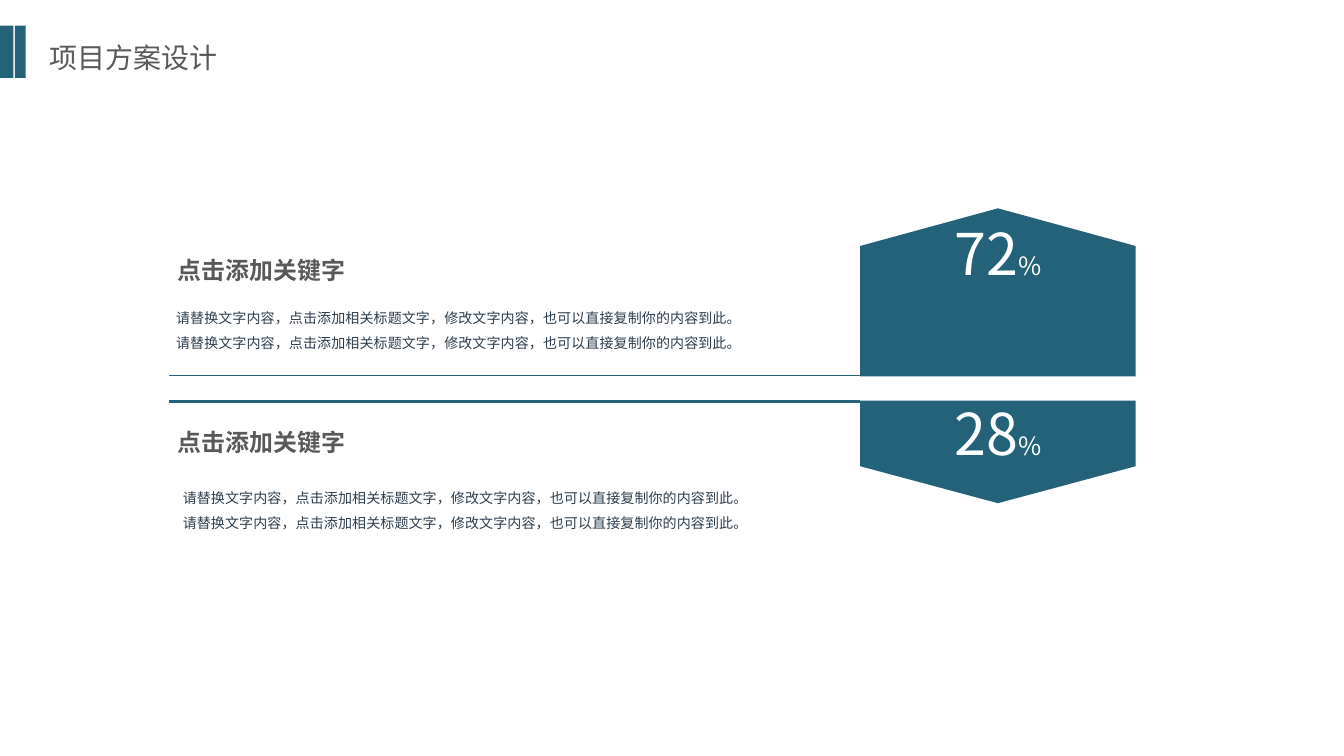
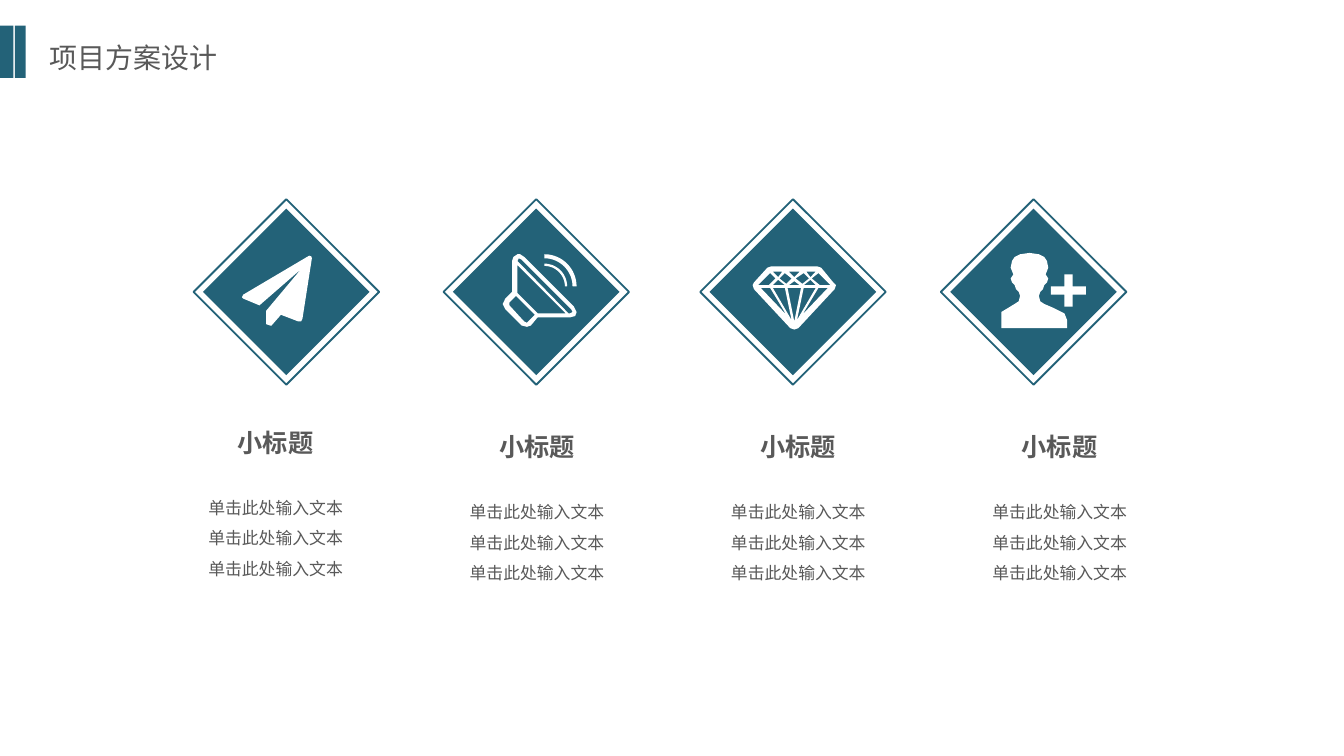
import math
from dataclasses import dataclass

import pptx
import pptx.dml.color
import pptx.enum.shapes
import pptx.enum.text
import pptx.oxml.ns
import pptx.util
from lxml import etree

Pt = pptx.util.Pt
RGB = pptx.dml.color.RGBColor.from_string
MSO = pptx.enum.shapes.MSO_SHAPE
ALIGN = pptx.enum.text.PP_ALIGN
ANCHOR = pptx.enum.text.MSO_ANCHOR
AUTO = pptx.enum.text.MSO_AUTO_SIZE
qn = pptx.oxml.ns.qn


@dataclass(frozen=True)
class Theme:
    teal: str = "236278"
    gray: str = "595959"
    ink: str = "2D3E4D"
    white: str = "FFFFFF"
    font: str = "Noto Sans CJK SC"
    latin: str = "Arial"
    title: float = 15
    number: float = 30.8
    percent: float = 13.5
    heading: float = 12.8
    body: float = 7.5
    card_title: float = 13.5
    card_text: float = 9


T = Theme()
W, H = 720, 405
TITLE = "项目方案设计"
TITLE_BOX = (19.4, 18, 177.8, 25.2)
BARS = [(0, 7.2), (7.9, 5.8)]
BAR_TOP, BAR_H = 13.7, 28.1

KEYWORD = "点击添加关键字"
SENTENCE = "请替换文字内容，点击添加相关标题文字，修改文字内容，也可以直接复制你的内容到此。"
BADGE_LEFT, BADGE_RIGHT = 460.8, 608.4
RULE_LEFT = 90.7
SHARES = [
    dict(value="72", tip=111.6, shoulder=131.8, base=201.6, inset=33.8,
         rule=(200.9, 0.5), heading=(90.7, 134.6, 165.6, 19.4),
         text=(87.1, 157.7, 311.8, 48.2)),
    dict(value="28", tip=269.6, shoulder=249.8, base=214.6, inset=27.4,
         rule=(215.3, 1.5), heading=(90.7, 226.8, 165.6, 19.4),
         text=(90.7, 254.2, 311.8, 34.6)),
]

CARD_TITLE = "小标题"
CARD_LINES = ["单击此处输入文本"] * 3
CARD_LEFT, CARD_STEP, CARD_W, CARD_H = 93.6, 140, 108, 97.2
DIAMOND_Y, DIAMOND, FRAME = 156.4, 89.3, 99.4
ICON_UNIT = 0.72


def wave(outer, inner, cx=6, cy=-4, steps=16):
    angles = [math.pi / 2 * i / steps for i in range(steps + 1)]
    ring = [(outer, a) for a in angles] + [(inner, a) for a in reversed(angles)]
    return [(cx + r * math.cos(a), cy - r * math.sin(a)) for r, a in ring]


PLANE = [[
    (19, -25), (12, 20), (11, 22), (9, 22), (-4, 17), (-11, 25), (-12, 25),
    (-15, 24), (-15, 14), (11, -17), (-20, 10), (-32, 5), (-33, 4), (-32, 2),
    (17, -27), (18.5, -26.5)]]
SPEAKER = [
    [(-9, -26), (-12, -28), (-14, -28), (-17, -26), (-18, -23), (-18, 0),
     (-23, 5), (-25, 9), (-23, 13), (-11, 25), (-7, 26), (-4, 25), (1, 19),
     (25, 19), (29, 18), (30, 15), (28, 11)],
    [(-1, 17), (-6, 22), (-7, 23), (-9, 22), (-20, 10), (-20, 8), (-15, 3)],
    [(1, 16), (-14, 1), (-14, -20), (22, 16)],
    [(27, 15), (25, 16), (24, 16), (-14, -23), (-13, -25), (-11, -24), (26, 13)],
    wave(24, 21), wave(17, 15.3)]
GEM = [
    [(30, -7), (21, -18), (18, -19), (-16, -19), (-19, -18), (-29, -7),
     (-30, -5), (-29, -2), (-2, 27), (1, 28), (4, 27), (31, -2), (32, -5)],
    [(17, -15), (13, -11), (10, -15)],
    [(17, -5), (8, -5), (13, -9)],
    [(12, -10), (7, -6), (2, -10), (8, -14)],
    [(5, -5), (-3, -5), (1, -8)],
    [(5, -15), (1, -11), (-3, -15)],
    [(-1, -10), (-5, -6), (-10, -10), (-6, -14)],
    [(-6, -5), (-15, -5), (-11, -9)],
    [(-8, -15), (-11, -11), (-15, -15)],
    [(-17, -14), (-13, -10), (-18, -5), (-26, -5)],
    [(-24, -3), (-17, -3), (-5, 17)],
    [(-15, -3), (-6, -3), (-1, 21)],
    [(-4, -3), (6, -3), (1, 22)],
    [(3, 21), (8, -3), (17, -3)],
    [(7, 17), (19, -3), (26, -3)],
    [(20, -5), (14, -10), (19, -14), (28, -5)]]
USER = [
    [(15, 12), (8, 9), (5, 7), (4, 3), (5, 0), (7, -2), (8, -5), (10, -7),
     (11, -10), (9, -13), (11, -18), (10, -23), (8, -26), (4, -28), (-3, -29),
     (-10, -28), (-14, -26), (-16, -23), (-17, -18), (-15, -13), (-17, -10),
     (-16, -7), (-14, -5), (-13, -2), (-11, 0), (-10, 3), (-11, 7), (-14, 9),
     (-19, 12), (-24, 15), (-24, 27), (25, 27), (25, 21), (23, 16)],
    [(29, -4), (29, -13), (23, -13), (23, -4), (13, -4), (13, 2), (23, 2),
     (23, 11), (29, 11), (29, 2), (39, 2), (39, -4)]]
CARDS = [
    dict(center=153.4, top=217.4, icon=PLANE),
    dict(center=287.3, top=219.6, icon=SPEAKER),
    dict(center=424.8, top=219.6, icon=GEM),
    dict(center=553.7, top=219.6, icon=USER),
]


def paint(sp, fill=None, line=None):
    sp.shadow.inherit = False
    if fill:
        sp.fill.solid()
        sp.fill.fore_color.rgb = RGB(fill)
    else:
        sp.fill.background()
    if line:
        sp.line.color.rgb = RGB(line)
        sp.line.width = Pt(1)
    else:
        sp.line.fill.background()


def add_preset(slide, kind, box, **style):
    sp = slide.shapes.add_shape(kind, *map(Pt, box))
    paint(sp, **style)


def add_outline(slide, contours, fill):
    fine = [[(x * 100, y * 100) for x, y in c] for c in contours]
    fb = slide.shapes.build_freeform(*fine[0][0], scale=Pt(0.01))
    for i, points in enumerate(fine):
        if i:
            fb.move_to(*points[0])
        fb.add_line_segments(points[1:], close=True)
    sp = fb.convert_to_shape()
    paint(sp, fill=fill)
    return sp


def add_run(p, text, size, color, name=T.font, bold=False):
    r = p.add_run()
    r.text = text
    r.font.size, r.font.bold, r.font.name = Pt(size), bold, name
    r.font.color.rgb = RGB(color)
    ea = etree.SubElement(r.font._element, qn("a:ea"))
    ea.set("typeface", T.font)


def prepare(sp, insets=(7.2, 3.6, 7.2, 3.6), auto=AUTO.SHAPE_TO_FIT_TEXT):
    tf = sp.text_frame
    tf.word_wrap, tf.auto_size, tf.vertical_anchor = True, auto, ANCHOR.TOP
    tf.margin_left, tf.margin_top, tf.margin_right, tf.margin_bottom = map(Pt, insets)
    return tf


def plain(p, align=ALIGN.LEFT, spacing=1.0, before=0):
    pPr = p._p.get_or_add_pPr()
    pPr.set("marL", "0")
    pPr.set("indent", "0")
    etree.SubElement(pPr, qn("a:buNone"))
    p.alignment, p.line_spacing, p.space_before = align, spacing, Pt(before)
    return p


def place(sp, box):
    sp.left, sp.top, sp.width, sp.height = map(Pt, box)
    return sp


def add_page(prs):
    slide = prs.slides.add_slide(prs.slide_layouts[4])
    for left, width in BARS:
        add_preset(slide, MSO.RECTANGLE, (left, BAR_TOP, width, BAR_H), fill=T.teal)
    tf = prepare(place(slide.shapes.title, TITLE_BOX))
    add_run(plain(tf.paragraphs[0]), TITLE, T.title, T.gray)
    return slide, [sp for sp in slide.placeholders if sp.placeholder_format.idx]


def shares_slide(prs):
    slide, bodies = add_page(prs)
    for i, s in enumerate(SHARES):
        middle = (BADGE_LEFT + BADGE_RIGHT) / 2
        badge = add_outline(slide, [[
            (BADGE_LEFT, s["shoulder"]), (middle, s["tip"]),
            (BADGE_RIGHT, s["shoulder"]), (BADGE_RIGHT, s["base"]),
            (BADGE_LEFT, s["base"])]], T.teal)
        tf = prepare(badge, (4.3, s["inset"], 4.3, 2.2), AUTO.NONE)
        p = tf.paragraphs[0]
        p.alignment, p.line_spacing = ALIGN.CENTER, Pt(8.4)
        add_run(p, s["value"], T.number, T.white)
        add_run(p, "%", T.percent, T.white)

        y, width = s["rule"]
        rule = slide.shapes.add_connector(
            pptx.enum.shapes.MSO_CONNECTOR.STRAIGHT,
            Pt(BADGE_LEFT), Pt(y), Pt(RULE_LEFT), Pt(y))
        rule.line.color.rgb, rule.line.width = RGB(T.teal), Pt(width)
        etree.SubElement(rule._element.spPr, qn("a:effectLst"))

        heading, text = bodies[2 * i:2 * i + 2]
        tf = prepare(place(heading, s["heading"]), (4.3, 2.2, 4.3, 2.2))
        add_run(plain(tf.paragraphs[0]), KEYWORD, T.heading, T.gray, bold=True)
        tf = prepare(place(text, s["text"]))
        add_run(plain(tf.paragraphs[0], spacing=1.5), SENTENCE * 2, T.body, T.ink, T.latin)


def cards_slide(prs):
    slide, bodies = add_page(prs)
    for i, (card, body) in enumerate(zip(CARDS, bodies)):
        cx = card["center"]
        for size, style in ((DIAMOND, dict(fill=T.teal)), (FRAME, dict(line=T.teal))):
            box = (cx - size / 2, DIAMOND_Y - size / 2, size, size)
            add_preset(slide, MSO.DIAMOND, box, **style)
        add_outline(slide, [[(cx + x * ICON_UNIT, DIAMOND_Y + y * ICON_UNIT)
                             for x, y in c] for c in card["icon"]], T.white)

        place(body, (CARD_LEFT + i * CARD_STEP, card["top"], CARD_W, CARD_H))
        tf = prepare(body)
        p = plain(tf.paragraphs[0], ALIGN.CENTER, 1.5)
        add_run(p, CARD_TITLE, T.card_title, T.gray, bold=True)
        for n, line in enumerate(CARD_LINES):
            p = plain(tf.add_paragraph(), ALIGN.CENTER, 1.5, 0 if n else 16)
            add_run(p, line, T.card_text, T.gray)


def main():
    prs = pptx.Presentation()
    prs.slide_width, prs.slide_height = Pt(W), Pt(H)
    shares_slide(prs)
    cards_slide(prs)
    prs.save("out.pptx")


if __name__ == "__main__":
    main()
